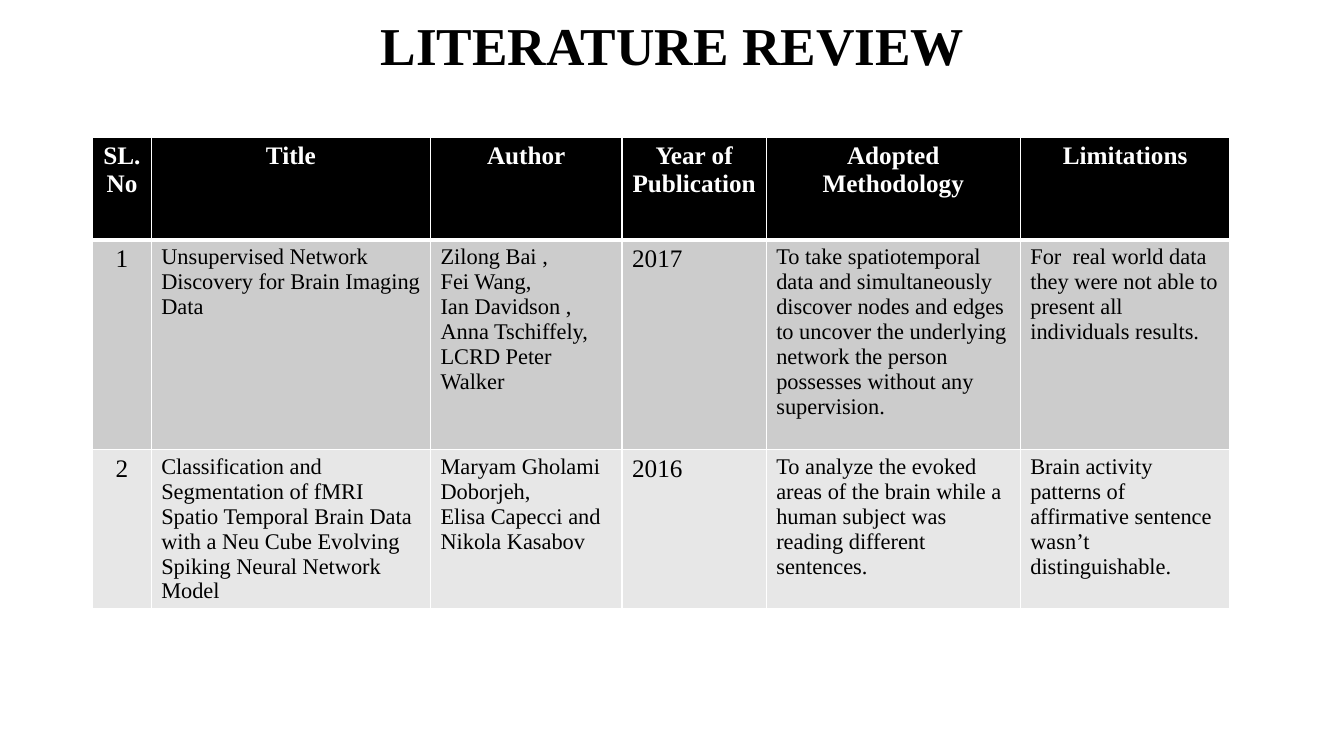
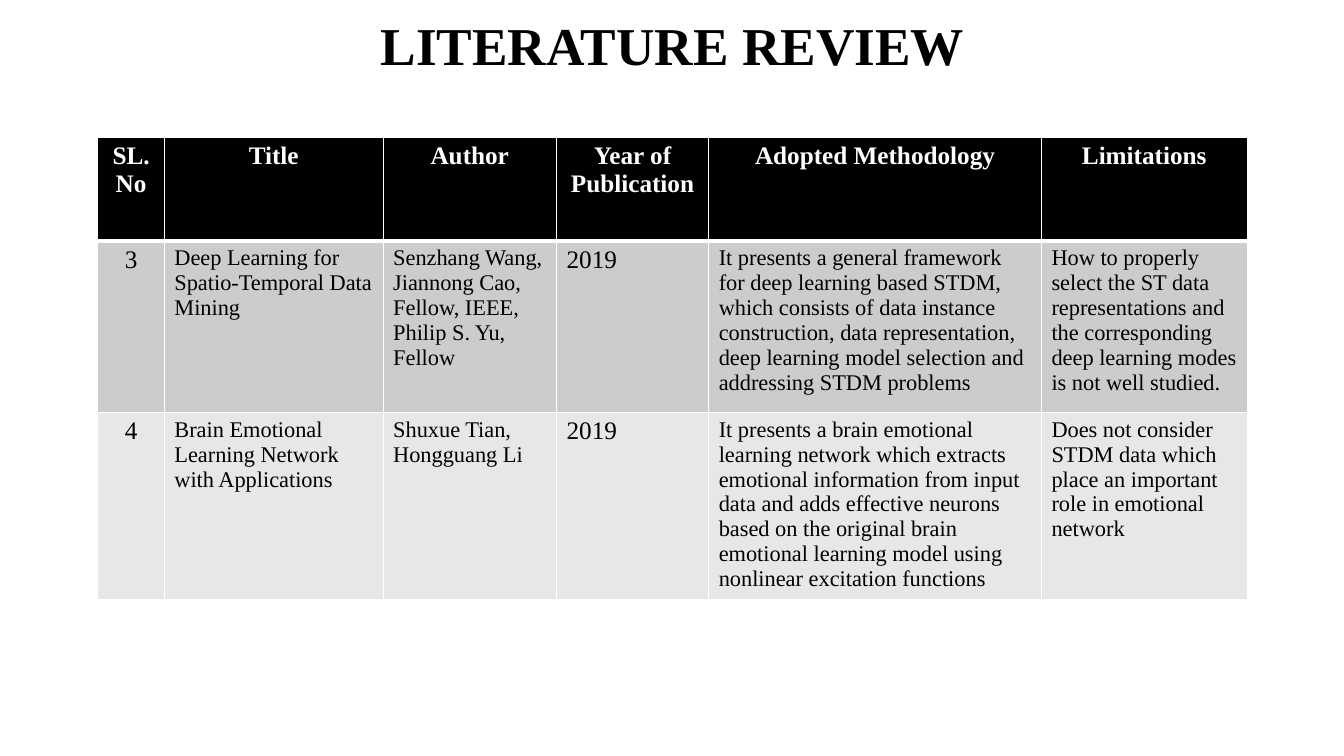
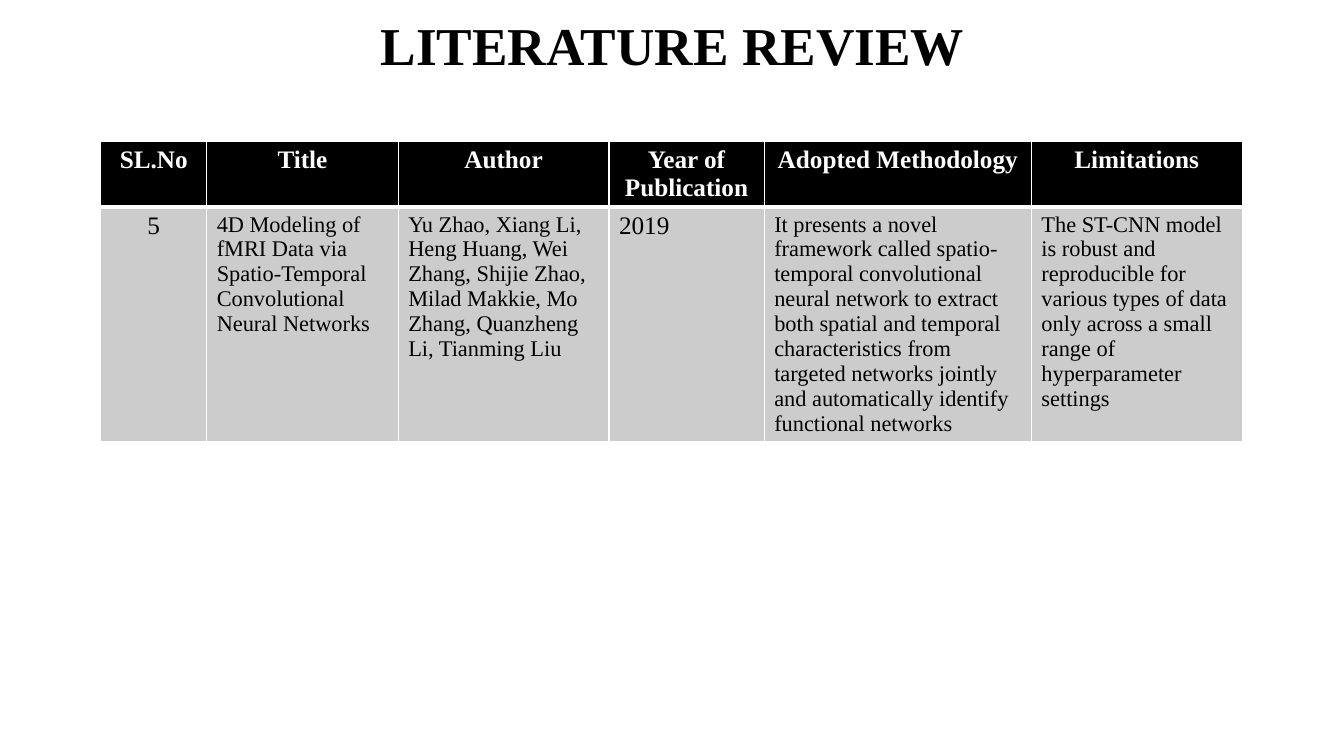
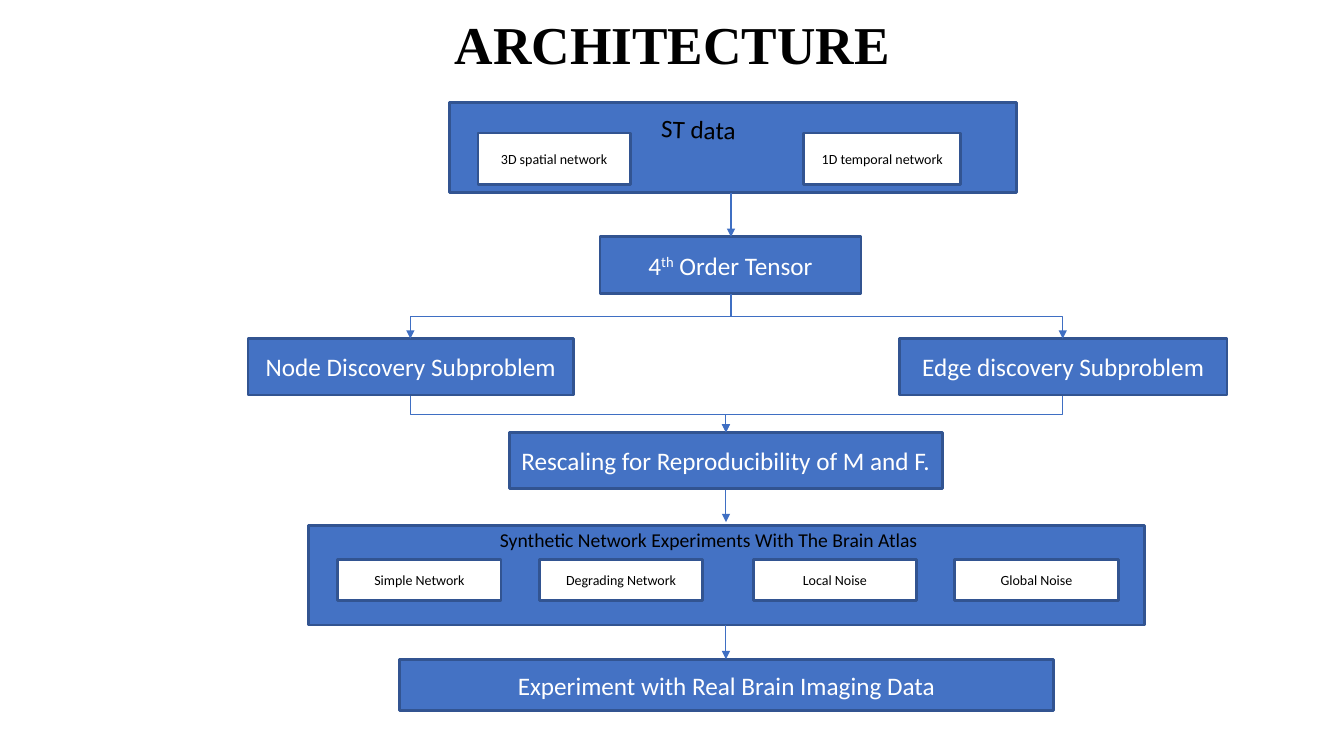
"""Build the literature review tables and the architecture diagram."""
from dataclasses import dataclass

from lxml.etree import SubElement
from pptx import Presentation
from pptx.dml.color import RGBColor
from pptx.enum.shapes import MSO_CONNECTOR, MSO_SHAPE
from pptx.enum.text import MSO_ANCHOR, MSO_AUTO_SIZE, PP_ALIGN
from pptx.oxml.ns import qn
from pptx.util import Inches, Pt


@dataclass(frozen=True)
class Theme:
    serif: str = "Times New Roman"
    sans: str = "Calibri"
    black: str = "000000"
    white: str = "FFFFFF"
    odd_row: str = "CCCCCC"
    even_row: str = "E7E7E7"
    box: str = "4472C4"
    outline: str = "325491"
    arrow: str = "3F6FC3"
    title_size: float = 38
    large: float = 18
    body: float = 16
    caption: float = 14
    small: float = 10
    cell_rule: float = 0.96
    header_rule: float = 3
    outline_width: float = 2
    arrow_width: float = 0.75


@dataclass(frozen=True)
class Review:
    left: float
    top: float
    widths: tuple[float, ...]
    heights: tuple[float, ...]
    papers: tuple[tuple[str, ...], ...]


@dataclass(frozen=True)
class Box:
    left: float
    top: float
    width: float
    height: float
    text: str = ""
    inner: bool = False


@dataclass(frozen=True)
class Label:
    left: float
    top: float
    width: float
    height: float
    text: str
    size: float
    rotation: float = 0


@dataclass(frozen=True)
class Arrow:
    x1: float
    y1: float
    x2: float
    y2: float


THEME = Theme()
HEADINGS = ("SL.No", "Title", "Author", "Year of Publication",
            "Adopted Methodology", "Limitations")
NUMBER_COLUMN, YEAR_COLUMN = 0, 3

REVIEWS = (
    Review(0.92, 1.36, (0.58, 2.77, 1.9, 1.43, 2.52, 2.08), (1.02, 2.08, 1.58), (
        ("1", "Unsupervised Network Discovery for Brain Imaging Data",
         "Zilong Bai ,\nFei Wang,\nIan Davidson ,\nAnna Tschiffely,\nLCRD Peter Walker",
         "2017",
         "To take spatiotemporal data and simultaneously discover nodes and edges to "
         "uncover the underlying network the person possesses without any supervision.",
         "For  real world data they were not able to present all individuals results."),
        ("2", "Classification and Segmentation of fMRI Spatio Temporal Brain Data with "
         "a Neu Cube Evolving Spiking Neural Network Model",
         "Maryam Gholami Doborjeh,\nElisa Capecci and Nikola Kasabov",
         "2016",
         "To analyze the evoked areas of the brain while a human subject was reading "
         "different sentences.",
         "Brain activity patterns of affirmative sentence wasn’t distinguishable."),
    )),
    Review(0.97, 1.36, (0.66, 2.17, 1.72, 1.51, 3.3, 2.04), (1.03, 1.7, 1.86), (
        ("3", "Deep Learning for Spatio-Temporal Data Mining",
         "Senzhang Wang, Jiannong Cao, Fellow, IEEE, Philip S. Yu, Fellow",
         "2019",
         "It presents a general framework for deep learning based STDM, which consists "
         "of data instance construction, data representation, deep learning model "
         "selection and addressing STDM problems",
         "How to properly select the ST data representations and the corresponding "
         "deep learning modes is not well studied."),
        ("4", "Brain Emotional Learning Network with Applications",
         "Shuxue Tian, Hongguang Li",
         "2019",
         "It presents a brain emotional learning network which extracts emotional "
         "information from input data and adds effective neurons based on the original "
         "brain emotional learning model using nonlinear excitation functions",
         "Does not consider\nSTDM data which place an important role in emotional network"),
    )),
    Review(1, 1.4, (1.05, 1.9, 2.09, 1.54, 2.65, 2.09), (0.65, 2.32), (
        ("5", "4D Modeling of fMRI Data via Spatio-Temporal Convolutional Neural Networks",
         "Yu Zhao, Xiang Li, Heng Huang, Wei Zhang, Shijie Zhao, Milad Makkie, "
         "Mo Zhang, Quanzheng Li, Tianming Liu",
         "2019",
         "It presents a novel framework called spatio-temporal convolutional neural "
         "network to extract both spatial and temporal characteristics from targeted "
         "networks jointly and automatically identify functional networks",
         "The ST-CNN model is robust and reproducible for various types of data only "
         "across a small range of hyperparameter settings"),
    )),
)

EXPERIMENTS = ((3.35, "Simple Network"), (5.35, "Degrading Network"),
               (7.47, "Local Noise"), (9.47, "Global Noise"))
BOXES = (
    Box(4.46, 1.02, 5.62, 0.89),
    Box(4.74, 1.32, 1.51, 0.51, "3D spatial network", inner=True),
    Box(7.97, 1.32, 1.56, 0.51, "1D temporal network", inner=True),
    Box(5.95, 2.35, 2.59, 0.56, "4^th^ Order Tensor"),
    Box(2.46, 3.36, 3.23, 0.56, "Node Discovery Subproblem"),
    Box(8.92, 3.36, 3.25, 0.56, "Edge discovery Subproblem"),
    Box(5.05, 4.29, 4.3, 0.56, "Rescaling for Reproducibility of M and F."),
    Box(3.06, 5.21, 8.29, 0.99),
    Box(3.96, 6.54, 6.49, 0.51, "Experiment with Real Brain Imaging Data"),
    *(Box(left, 5.55, 1.62, 0.41, text, inner=True) for left, text in EXPERIMENTS),
)
LABELS = (
    Label(6.46, 1.09, 1.4, 0.4, "ST data", THEME.large, 1.9),
    Label(4.86, 5.19, 6.39, 0.33, "Synthetic Network Experiments With The Brain Atlas",
          THEME.caption),
)
ARROWS = (
    Arrow(7.25, 1.91, 7.25, 2.35),
    Arrow(7.25, 2.92, 4.07, 3.36),
    Arrow(7.25, 2.92, 10.54, 3.36),
    Arrow(4.07, 3.93, 7.2, 4.29),
    Arrow(10.54, 3.93, 7.2, 4.29),
    Arrow(7.2, 4.86, 7.2, 5.18),
    Arrow(7.2, 6.2, 7.2, 6.54),
)


def rgb(color: str) -> RGBColor:
    return RGBColor.from_string(color)


def style_text(frame, family: str, size: float, color: str,
               align=PP_ALIGN.LEFT, bold: bool = False) -> None:
    for paragraph in frame.paragraphs:
        paragraph.alignment = align
        font = paragraph.font
        font.name, font.size, font.bold = family, Pt(size), bold
        font.color.rgb = rgb(color)


def add_titled_slide(deck, text: str, top: float, height: float):
    slide = deck.slides.add_slide(deck.slide_layouts[5])
    title = slide.shapes.title
    title.left, title.top = Inches(0.92), Inches(top)
    title.width, title.height = Inches(11.5), Inches(height)
    frame = title.text_frame
    frame.text = text
    frame.auto_size = MSO_AUTO_SIZE.NONE
    frame.vertical_anchor = MSO_ANCHOR.MIDDLE
    style_text(frame, THEME.serif, THEME.title_size, THEME.black, PP_ALIGN.CENTER, True)
    frame.paragraphs[0].line_spacing = 0.9
    return slide


def add_cell_borders(cell, row: int) -> None:
    top = THEME.header_rule if row == 1 else THEME.cell_rule
    bottom = THEME.header_rule if row == 0 else THEME.cell_rule
    sides = {"lnL": THEME.cell_rule, "lnR": THEME.cell_rule, "lnT": top, "lnB": bottom}
    properties = cell._tc.get_or_add_tcPr()
    for side, width in sides.items():
        border = SubElement(properties, qn(f"a:{side}"), w=str(Pt(width)))
        fill = SubElement(border, qn("a:solidFill"))
        SubElement(fill, qn("a:srgbClr"), val=THEME.white)


def fill_cell(cell, text: str, row: int, column: int) -> None:
    header = row == 0
    short = header or column in (NUMBER_COLUMN, YEAR_COLUMN)
    centred = header or column == NUMBER_COLUMN
    add_cell_borders(cell, row)
    cell.fill.solid()
    background = THEME.black if header else (THEME.even_row, THEME.odd_row)[row % 2]
    cell.fill.fore_color.rgb = rgb(background)
    cell.text = text
    style_text(cell.text_frame, THEME.serif, THEME.large if short else THEME.body,
               THEME.white if header else THEME.black,
               PP_ALIGN.CENTER if centred else PP_ALIGN.LEFT, header)


def add_review(slide, review: Review) -> None:
    rows = (HEADINGS, *review.papers)
    table = slide.shapes.add_table(
        len(rows), len(HEADINGS), Inches(review.left), Inches(review.top),
        Inches(sum(review.widths)), Inches(sum(review.heights))).table
    table.horz_banding = False
    for column, width in zip(table.columns, review.widths):
        column.width = Inches(width)
    for row, height in zip(table.rows, review.heights):
        row.height = Inches(height)
    for row, texts in enumerate(rows):
        for column, text in enumerate(texts):
            fill_cell(table.cell(row, column), text, row, column)


def add_box(slide, box: Box) -> None:
    shape = slide.shapes.add_shape(MSO_SHAPE.RECTANGLE, Inches(box.left), Inches(box.top),
                                   Inches(box.width), Inches(box.height))
    shape.shadow.inherit = False
    shape.fill.solid()
    shape.fill.fore_color.rgb = rgb(THEME.white if box.inner else THEME.box)
    shape.line.color.rgb = rgb(THEME.outline)
    shape.line.width = Pt(THEME.outline_width)
    if not box.text:
        return
    frame = shape.text_frame
    frame.word_wrap = True
    for index, part in enumerate(box.text.split("^")):
        run = frame.paragraphs[0].add_run()
        run.text = part
        if index % 2:
            run._r.get_or_add_rPr().set("baseline", "30000")
    style_text(frame, THEME.sans, THEME.small if box.inner else THEME.large,
               THEME.black if box.inner else THEME.white, PP_ALIGN.CENTER)


def add_label(slide, label: Label) -> None:
    shape = slide.shapes.add_textbox(Inches(label.left), Inches(label.top),
                                     Inches(label.width), Inches(label.height))
    shape.rotation = label.rotation
    shape.text_frame.word_wrap = True
    shape.text_frame.text = label.text
    style_text(shape.text_frame, THEME.sans, label.size, THEME.black)


def add_arrow(slide, arrow: Arrow) -> None:
    """Draw a straight arrow, or an elbow turned 90° so that it leaves downwards."""
    bent = arrow.x1 != arrow.x2
    kind, ends = MSO_CONNECTOR.STRAIGHT, (arrow.x1, arrow.y1, arrow.x2, arrow.y2)
    if bent:
        middle_x, middle_y = (arrow.x1 + arrow.x2) / 2, (arrow.y1 + arrow.y2) / 2
        half_drop, half_run = (arrow.y2 - arrow.y1) / 2, (arrow.x1 - arrow.x2) / 2
        kind = MSO_CONNECTOR.ELBOW
        ends = (middle_x - half_drop, middle_y - half_run,
                middle_x + half_drop, middle_y + half_run)
    connector = slide.shapes.add_connector(kind, *(Inches(end) for end in ends))
    connector.line.color.rgb = rgb(THEME.arrow)
    connector.line.width = Pt(THEME.arrow_width)
    properties = connector._element.spPr
    if bent:
        properties.find(qn("a:xfrm")).set("rot", "5400000")
    SubElement(properties.find(qn("a:ln")), qn("a:tailEnd"), type="triangle")
    SubElement(properties, qn("a:effectLst"))


def main() -> None:
    deck = Presentation()
    deck.slide_width, deck.slide_height = Inches(13.33), Inches(7.5)
    for review in REVIEWS:
        add_review(add_titled_slide(deck, "LITERATURE REVIEW", 0.07, 0.82), review)
    architecture = add_titled_slide(deck, "ARCHITECTURE", 0.02, 0.89)
    for box in BOXES:
        add_box(architecture, box)
    for label in LABELS:
        add_label(architecture, label)
    for arrow in ARROWS:
        add_arrow(architecture, arrow)
    deck.save("out.pptx")


if __name__ == "__main__":
    main()
